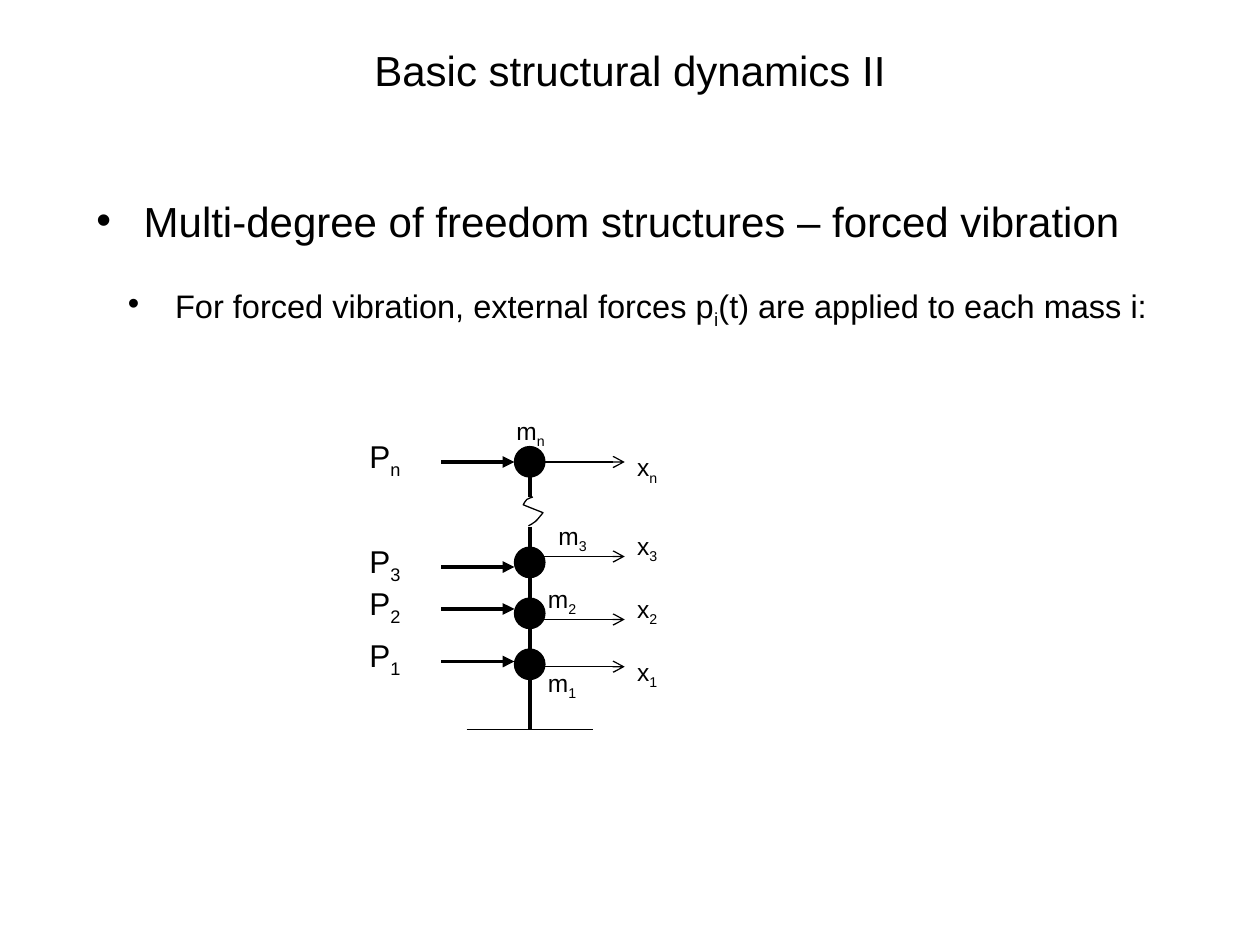
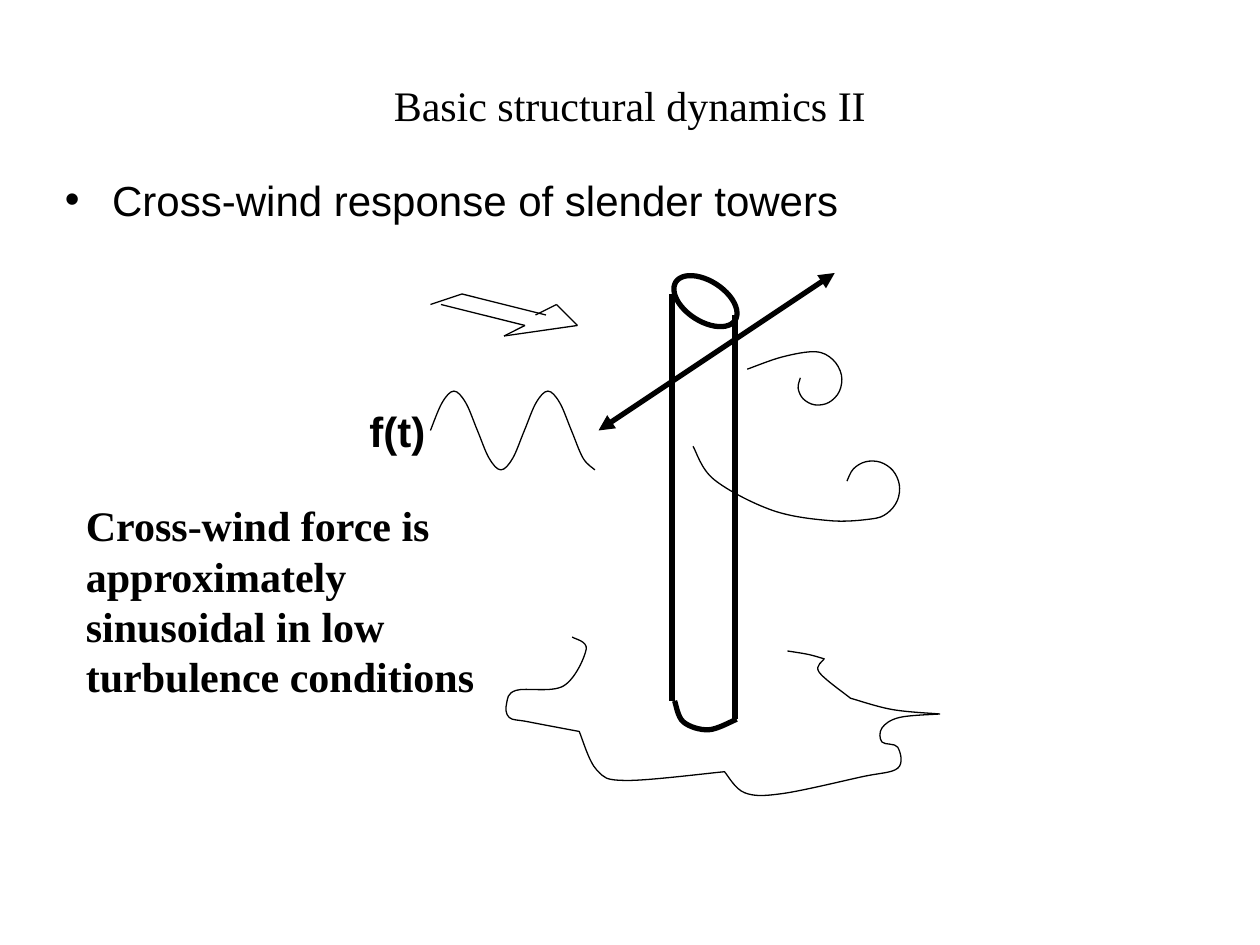
from dataclasses import dataclass
from itertools import pairwise
from math import cos, pi, radians, sin

from lxml import etree
from pptx import Presentation
from pptx.dml.color import RGBColor
from pptx.enum.shapes import MSO_CONNECTOR, MSO_SHAPE
from pptx.enum.text import MSO_ANCHOR, PP_ALIGN
from pptx.oxml.ns import qn
from pptx.util import Pt

STRAIGHT = MSO_CONNECTOR.STRAIGHT
OVAL = MSO_SHAPE.OVAL
MIDDLE = MSO_ANCHOR.MIDDLE
CENTER = PP_ALIGN.CENTER

COLORS = {"ink": "000000", "page": "FFFFFF"}
SANS, SERIF = "Arial", "Times New Roman"
TITLE = "Basic structural dynamics II"
LARGE, MEDIUM, NORMAL, SMALL = 24, 18.6, 18, 14
THIN, BOLD, HEAVY = 0.75, 2.25, 3


@dataclass
class Level:
    """One mass: its index, arrow heights and label places in the model."""
    index: str
    shift: float
    force: float
    name: float
    mass: tuple


LEVELS = [
    Level("n", shift=30, force=30, name=21, mass=(84, 0)),
    Level("3", shift=84, force=90, name=66, mass=(108, 60)),
    Level("2", shift=120, force=114, name=102, mass=(102, 96)),
    Level("1", shift=147, force=144, name=138, mass=(102, 144)),
]


def ink(name):
    """Return a named colour."""
    return RGBColor.from_string(COLORS[name])


def stroke(shape, width):
    """Give a shape an ink line."""
    shape.line.color.rgb = ink("ink")
    shape.line.width = Pt(width)


def write(slide, box, parts, size, font=SANS, bold=False, bullet=False):
    """Write text whose every second part is a subscript."""
    frame = slide.shapes.add_textbox(*map(Pt, box)).text_frame
    frame.word_wrap = True
    para = frame.paragraphs[0]
    for at, part in enumerate(parts):
        run = para.add_run()
        run.text = part
        if at % 2:
            run._r.get_or_add_rPr().set("baseline", "-25000")
    if bullet:
        props = para._p.get_or_add_pPr()
        props.set("marL", str(Pt(27)))
        props.set("indent", str(-Pt(27)))
        etree.SubElement(props, qn("a:buFont")).set("typeface", SANS)
        etree.SubElement(props, qn("a:buChar")).set("char", "•")
    para.font.size = Pt(size)
    para.font.name = font
    para.font.bold = bold
    para.font.color.rgb = ink("ink")
    return frame


def head(slide, box, font):
    """Write the slide title."""
    frame = write(slide, box, [TITLE], LARGE, font)
    frame.vertical_anchor = MIDDLE
    frame.paragraphs[0].alignment = CENTER


def link(slide, box, start, end, width=THIN, **ends):
    """Draw a line between two points of a box, with optional arrowheads."""
    left, top = box[:2]
    line = slide.shapes.add_connector(
        STRAIGHT, Pt(left + start[0]), Pt(top + start[1]),
        Pt(left + end[0]), Pt(top + end[1]))
    stroke(line, width)
    for tag in ("headEnd", "tailEnd"):
        if tag in ends:
            etree.SubElement(line.line._get_or_add_ln(), qn("a:" + tag)).set("type", ends[tag])
    etree.SubElement(line._element.spPr, qn("a:effectLst"))


def bend(knots):
    """Return two handles and an end for each step of a smooth run."""
    padded = [knots[0], *knots, knots[-1]]
    points = []
    for prev, start, end, after in zip(padded, padded[1:], padded[2:], padded[3:]):
        points.append([s + (e - p) / 6 for p, s, e in zip(prev, start, end)])
        points.append([e - (a - s) / 6 for s, e, a in zip(start, end, after)])
        points.append(end)
    return points


def curve(slide, box, *runs, width=THIN):
    """Draw smooth runs of knots, with a corner where one run meets the next."""
    def place(point):
        return Pt(box[0] + point[0]), Pt(box[1] + point[1])

    pen = slide.shapes.build_freeform(*place(runs[0][0]))
    for run in runs:
        pen.add_line_segments([place(point) for point in bend(run)], close=False)
    shape = pen.convert_to_shape()
    steps = list(shape._element.iter(qn("a:lnTo")))
    for at in range(0, len(steps), 3):
        cubic = etree.Element(qn("a:cubicBezTo"))
        steps[at].addprevious(cubic)
        for step in steps[at:at + 3]:
            cubic.append(step[0])
            step.getparent().remove(step)
    shape.fill.background()
    stroke(shape, width)
    shape.shadow.inherit = False


def curl(hub, radii, angles, count=9):
    """Return knots on a spiral about a hub, from one radius and angle to another."""
    knots = []
    for step in range(count):
        part = step / (count - 1)
        reach = radii[0] + part * (radii[1] - radii[0])
        turn = radians(angles[0] + part * (angles[1] - angles[0]))
        knots.append((hub[0] + reach * cos(turn), hub[1] + reach * sin(turn)))
    return knots


def oval(slide, box, spot, width, solid):
    """Draw an ellipse inside a box."""
    left, top, wide, high = spot
    shape = slide.shapes.add_shape(
        OVAL, Pt(box[0] + left), Pt(box[1] + top), Pt(wide), Pt(high))
    if solid:
        shape.fill.solid()
        shape.fill.fore_color.rgb = ink("ink")
    else:
        shape.fill.background()
    stroke(shape, width)
    shape.shadow.inherit = False
    return shape


def column(slide, box):
    """Draw the masses, the stems that join them, the break and the ground."""
    mid, ball, gap, base = 98.7, 17.4, 29.1, 182.9
    peak, low = 21.2, [78.7 + gap * step for step in range(3)]
    for top in (peak, *low):
        oval(slide, box, (mid - ball / 2, top, ball, ball), THIN, True)
    stems = [(peak + ball, 50), (67, low[0])]
    stems += [(over + ball, under) for over, under in pairwise([*low, base])]
    for start, end in stems:
        link(slide, box, (mid, start), (mid, end), BOLD)
    link(slide, box, (mid - 36, base), (mid + 36, base))
    foot = [(98, 66.5), (102, 64), (106.3, 59)]
    slant = [(106.3, 59), (95, 54.5)]
    tip = [(95, 54.5), (97, 51.5), (100.5, 50)]
    curve(slide, box, foot, slant, tip)


def model(slide, box):
    """Draw the column of masses with its forces and shifts."""
    left, top = box[:2]
    column(slide, box)
    for level in LEVELS:
        link(slide, box, (99, level.shift), (153, level.shift), tailEnd="arrow")
        link(slide, box, (48, level.force), (90, level.force), BOLD, tailEnd="triangle")
        labels = [("m", level.mass, SMALL), ("x", (153, level.name), SMALL),
                  ("P", (0, level.force - 18), NORMAL)]
        for text, (across, down), size in labels:
            write(slide, (left + across, top + down, 45, 33), [text, level.index], size)


def wind(slide, box):
    """Draw the open wind arrow."""
    upper = [(0, 6), (18, 0), (66, 12)]
    lower = [(6, 6), (54, 18)]
    barbs = [(54, 18), (42, 24), (84, 18), (72, 6), (60, 12)]
    for chain in (upper, lower, barbs):
        for start, end in pairwise(chain):
            link(slide, box, start, end)


def signal(slide, box):
    """Draw the sine force along the middle of a box, with its label."""
    left, top, wide, high = box
    periods, steps = 1.75, 14
    wave = [(wide * step / steps, high / 2 * (1 - sin(2 * pi * periods * step / steps)))
            for step in range(steps + 1)]
    curve(slide, box, wave)
    write(slide, (left - 42, top + 4.5, 66, 36), ["f(t)"], LARGE, bold=True)


def wake(slide, box):
    """Draw the two vortices: a sweep that winds into a curl."""
    high = [(247, 67), (267, 60)]
    low = [(216, 111), (228, 130), (261, 147.5), (294, 153.5)]
    curve(slide, box, high + curl((285.8, 75), (18, 9), (-90, 200)))
    curve(slide, box, low + curl((317.5, 134.6), (18, 14), (90, -165)))


def ground(slide, box):
    """Draw the ragged ground edge, one run between each pair of corners."""
    west = [(147, 220), (155, 227), (142, 248), (115, 250.5), (109.5, 258),
            (111, 266), (122, 268.5), (151, 274)]
    south = [(151, 274), (161, 296), (178, 302), (234, 297)]
    shore = [(234, 297), (245.5, 309), (267, 309.5), (312, 300), (333, 295),
             (333, 283), (324, 280), (324, 272), (334, 266), (357, 264)]
    east = [(357, 264), (330, 261.5), (306, 255)]
    notch = [(306, 255), (288, 240), (291, 232.5)]
    north = [(291, 232.5), (282, 230), (270, 228)]
    curve(slide, box, west, south, shore, east, notch, north)


def tower(slide, box):
    """Draw the tower and its sway across the wind."""
    oval(slide, box, (203, 16.6, 40.3, 23), HEAVY, False).rotation = 32.8
    for side, top, foot in ((204, 24, 256.5), (240, 36, 267)):
        link(slide, box, (side, top), (side, foot), HEAVY)
    rim = [(205.5, 256.5), (210.5, 268.5), (225, 273), (241, 267)]
    curve(slide, box, rim, width=HEAVY)
    link(slide, box, (297, 12), (162, 102), HEAVY, headEnd="triangle", tailEnd="triangle")


def scene(slide, box):
    """Draw the tower in the wind with the force signal."""
    left, top = box[:2]
    wind(slide, (left + 66, top + 24, 84, 24))
    for part in (wake, ground, tower):
        part(slide, box)
    signal(slide, (left + 66, top + 79.5, 94, 45))


def forced(slide):
    """Build the forced vibration slide."""
    head(slide, (36, 21.6, 648, 36), SANS)
    write(slide, (48, 108, 672, 60),
          ["Multi-degree of freedom structures – forced vibration"], LARGE, bullet=True)
    note = write(slide, (66, 162, 612, 42),
                 ["For forced vibration, external forces p", "i",
                  "(t) are applied to each mass i:"], MEDIUM, bullet=True)
    note.paragraphs[0].line_spacing = 0.8
    model(slide, (204, 234, 198, 183))


def cross(slide):
    """Build the cross-wind slide."""
    head(slide, (54, 42, 612, 36), SERIF)
    scene(slide, (180, 144, 360, 324))
    write(slide, (30, 96, 672, 42),
          ["Cross-wind response of slender towers"], LARGE, bullet=True)
    write(slide, (42, 282, 252, 122.4),
          ["Cross-wind force is approximately sinusoidal in low turbulence conditions"],
          LARGE, SERIF, bold=True)


def main():
    """Build and save the deck."""
    deck = Presentation()
    deck.slide_width, deck.slide_height = Pt(720), Pt(540)
    for build in (forced, cross):
        slide = deck.slides.add_slide(deck.slide_layouts[6])
        slide.background.fill.solid()
        slide.background.fill.fore_color.rgb = ink("page")
        build(slide)
    deck.save("out.pptx")


if __name__ == "__main__":
    main()
